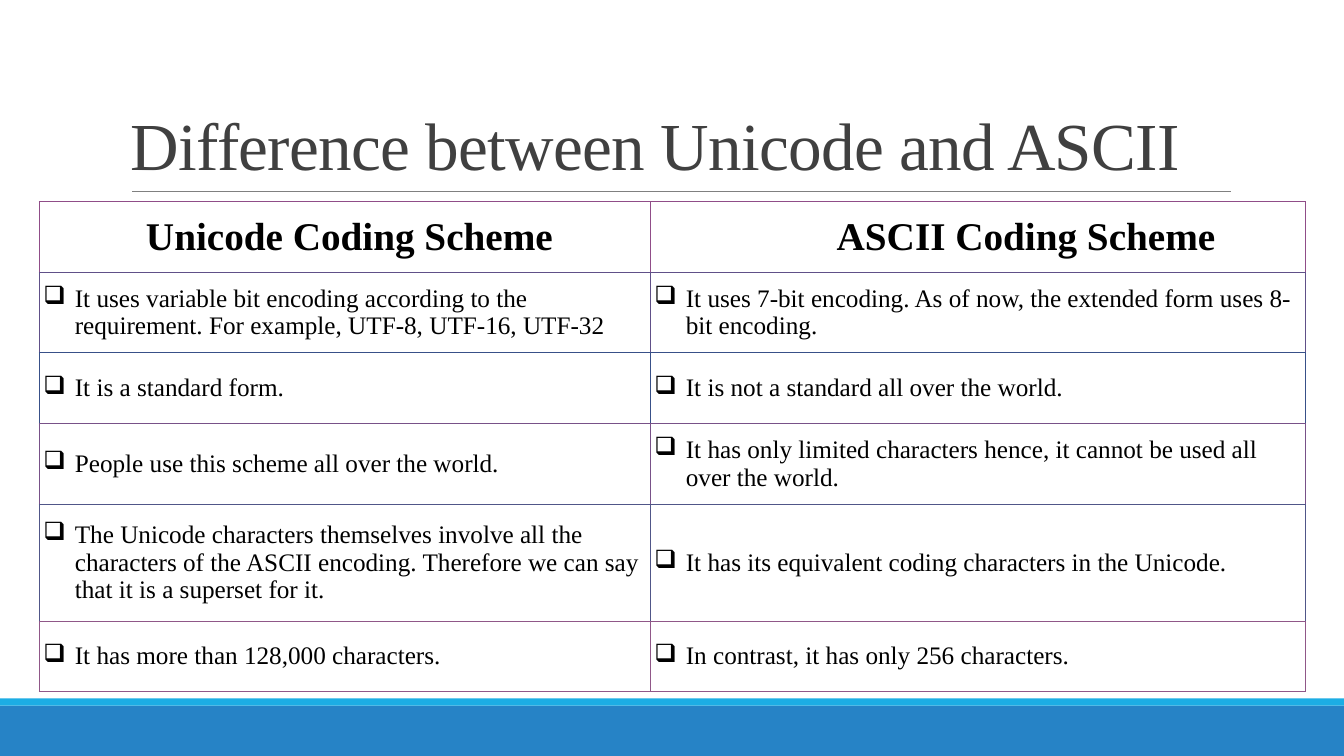
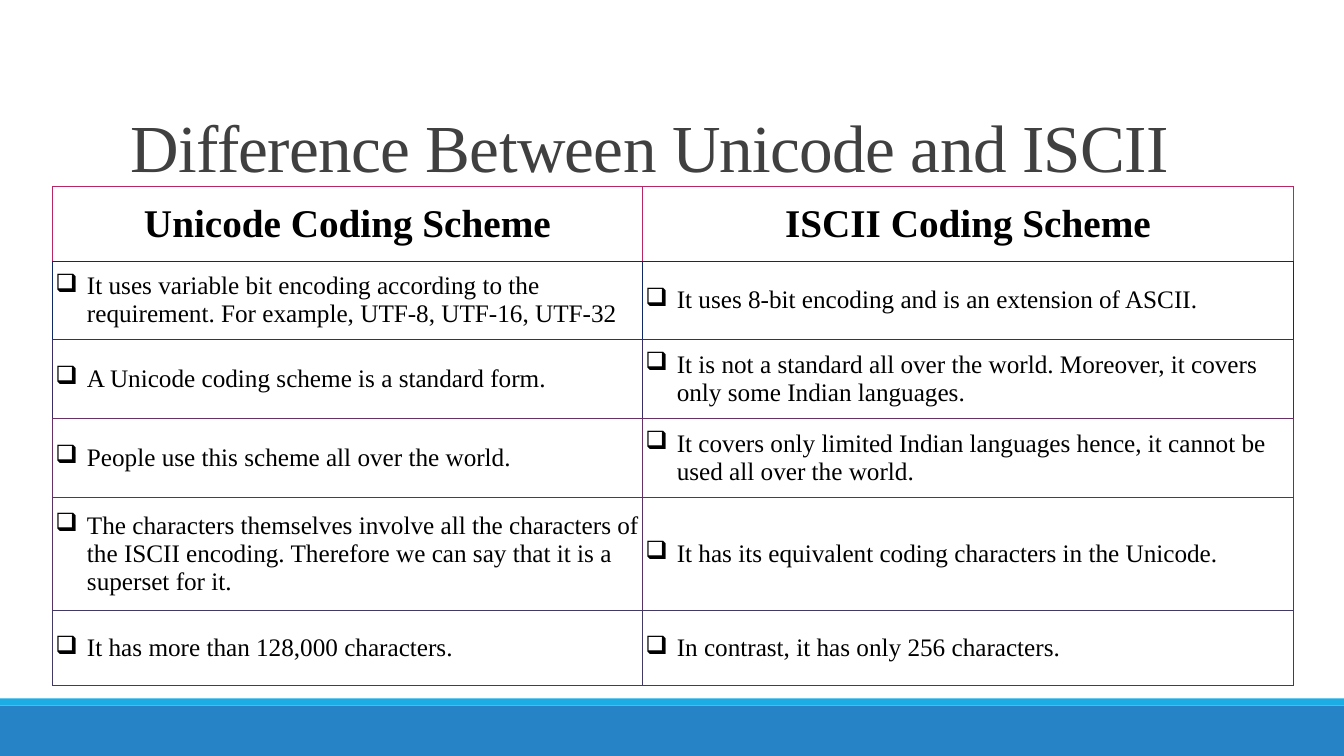
from lxml import etree
from pptx import Presentation
from pptx.dml.color import RGBColor
from pptx.enum.shapes import MSO_CONNECTOR, MSO_SHAPE
from pptx.enum.text import MSO_ANCHOR, PP_ALIGN
from pptx.oxml.ns import qn
from pptx.util import Emu, Inches, Pt

RECT, LINE = MSO_SHAPE.RECTANGLE, MSO_CONNECTOR.STRAIGHT
MIDDLE, BOTTOM = MSO_ANCHOR.MIDDLE, MSO_ANCHOR.BOTTOM
LEFT, CENTER = PP_ALIGN.LEFT, PP_ALIGN.CENTER

BLUE = RGBColor(0x26, 0x83, 0xC6)
CYAN = RGBColor(0x1C, 0xAD, 0xE4)
GRAY = RGBColor(0x80, 0x80, 0x80)
DARK = RGBColor(0x40, 0x40, 0x40)
BLACK = RGBColor(0, 0, 0)
WHITE = RGBColor(0xFF, 0xFF, 0xFF)

FONT = "Times New Roman"
TITLE = dict(name=FONT, size=Pt(48))
HEAD = dict(name=FONT, size=Pt(28), bold=True)
BODY = dict(name=FONT, size=Pt(18), bold=False)

WIDE, HIGH = 13.33, 7.5
BANDS = [(7, 0.5, BLUE), (6.93, 0.07, CYAN)]  # top, height, colour
RULE = (1.31, 12.21, 1.9)  # left, right, y
HANG = Emu(285750)
EDGE = Pt(0.6)

# Shared and per-slide content; "edges" holds one border colour per row,
# "shift" an extra left margin for each heading.
VARIED = ("It uses variable bit encoding according to the requirement. "
          "For example, UTF-8, UTF-16, UTF-32")
PEOPLE = "People use this scheme all over the world."
EQUAL = "It has its equivalent coding characters in the Unicode."
COUNTS = ("It has more than 128,000 characters.",
          "In contrast, it has only 256 characters.")

SLIDES = [
    dict(
        title="Difference between Unicode and ASCII", drop=0.29,
        at=(0.39, 2), cols=(6.06, 6.5), pad=0.04, shift=(0.09, 0.95),
        rows=(0.7, 0.8, 0.7, 0.8, 1.16, 0.7),
        edges=("904D88", "605088", "385088", "785188", "505688", "905788"),
        cells=[
            ("Unicode Coding Scheme", "ASCII Coding Scheme"),
            (VARIED, "It uses 7-bit encoding. As of now, the extended form "
                     "uses 8-bit encoding."),
            ("It is a standard form.",
             "It is not a standard all over the world."),
            (PEOPLE, "It has only limited characters hence, it cannot be "
                     "used all over the world."),
            ("The Unicode characters themselves involve all the characters "
             "of the ASCII encoding. Therefore we can say that it is a "
             "superset for it.", EQUAL),
            COUNTS,
        ]),
    dict(
        title="Difference Between Unicode and ISCII", drop=0.31,
        at=(0.52, 1.85), cols=(5.85, 6.46), pad=0.03, shift=(0, 0),
        rows=(0.74, 0.78, 0.78, 0.78, 1.13, 0.74),
        edges=("B82665", "102965", "382E65", "683065", "583165", "403A65"),
        cells=[
            ("Unicode Coding Scheme", "ISCII Coding Scheme"),
            (VARIED, "It uses 8-bit encoding and is an extension of ASCII."),
            ("A Unicode coding scheme is a standard form.",
             "It is not a standard all over the world. Moreover, it covers "
             "only some Indian languages."),
            (PEOPLE, "It covers only limited Indian languages hence, it "
                     "cannot be used all over the world."),
            ("The characters themselves involve all the characters of the "
             "ISCII encoding. Therefore we can say that it is a superset "
             "for it.", EQUAL),
            COUNTS,
        ]),
]


def write(para, text, form, color):
    run = para.add_run()
    run.text = text
    for key, val in form.items():
        setattr(run.font, key, val)
    run.font.color.rgb = color
    return run


def add_frame(slide, top):
    """Footer bands, and the title rule where the table leaves it free."""
    for y, high, color in BANDS:
        band = slide.shapes.add_shape(
            RECT, 0, Inches(y), Inches(WIDE), Inches(high))
        band.shadow.inherit = False
        band.fill.solid()
        band.fill.fore_color.rgb = color
        band.line.fill.background()
    left, right, y = RULE
    if top > y:
        rule = slide.shapes.add_connector(
            LINE, Inches(left), Inches(y), Inches(right), Inches(y))
        rule.line.color.rgb = GRAY
        rule.line.width = Pt(0.5)
        etree.SubElement(rule._element.spPr, qn("a:effectLst"))


def add_title(slide, text, top):
    box = slide.shapes.add_textbox(
        Inches(1.2), Inches(top), Inches(11), Inches(1.59))
    frame = box.text_frame
    frame.word_wrap = True
    frame.vertical_anchor = BOTTOM
    para = frame.paragraphs[0]
    para.line_spacing = 0.85
    run = write(para, text, TITLE, DARK)
    run._r.get_or_add_rPr().set("spc", "-50")


def add_edges(cell, color, base):
    props = cell._tc.get_or_add_tcPr()
    for side in "LRTB":
        line = etree.SubElement(props, qn("a:ln" + side), w=str(EDGE))
        fill = etree.SubElement(line, qn("a:solidFill"))
        etree.SubElement(fill, qn("a:srgbClr"),
                         val=base if side == "B" else color)


def add_bullet(para):
    props = para._p.get_or_add_pPr()
    props.set("marL", str(HANG))
    props.set("indent", str(-HANG))
    etree.SubElement(props, qn("a:buChar"), char="❑")


def add_grid(slide, data):
    cols, rows, edges = data["cols"], data["rows"], data["edges"]
    spots = (*data["at"], sum(cols), sum(rows))
    grid = slide.shapes.add_table(
        len(rows), len(cols), *map(Inches, spots)).table
    grid.first_row = grid.horz_banding = False
    for col, wide in zip(grid.columns, cols):
        col.width = Inches(wide)
    for row, high in zip(grid.rows, rows):
        row.height = Inches(high)

    for r, texts in enumerate(data["cells"]):
        head = r == 0
        base = edges[min(r + 1, len(edges) - 1)]
        for c, text in enumerate(texts):
            cell = grid.cell(r, c)
            add_edges(cell, edges[r], base)
            cell.fill.solid()
            cell.fill.fore_color.rgb = WHITE
            cell.vertical_anchor = MIDDLE
            for side in ("left", "right", "top", "bottom"):
                setattr(cell, "margin_" + side, Inches(data["pad"]))
            para = cell.text_frame.paragraphs[0]
            para.alignment = CENTER if head else LEFT
            if head:
                cell.margin_left += Inches(data["shift"][c])
            else:
                add_bullet(para)
            write(para, text, HEAD if head else BODY, BLACK)


def main():
    deck = Presentation()
    deck.slide_width, deck.slide_height = Inches(WIDE), Inches(HIGH)
    for data in SLIDES:
        slide = deck.slides.add_slide(deck.slide_layouts[6])
        add_frame(slide, data["at"][1])
        add_title(slide, data["title"], data["drop"])
        add_grid(slide, data)
    deck.save("out.pptx")


if __name__ == "__main__":
    main()
